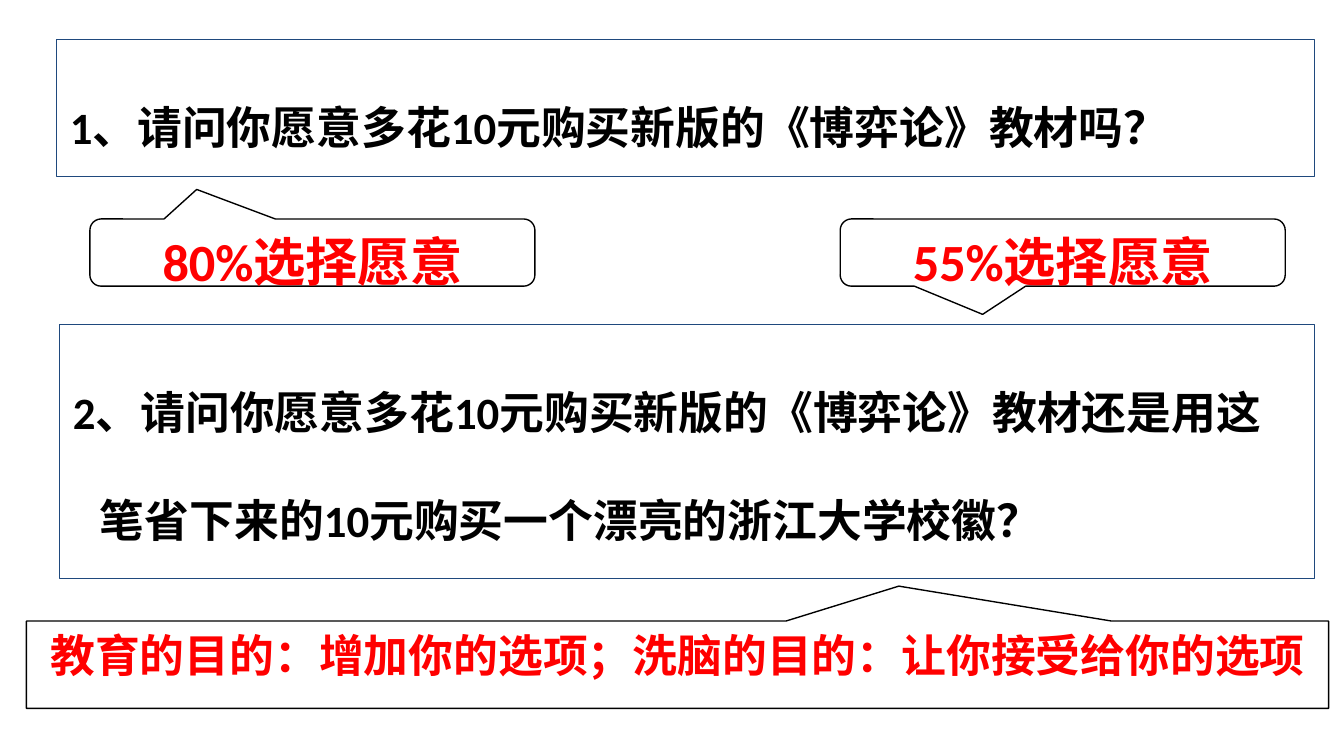
from pptx import Presentation
from pptx.dml.color import RGBColor
from pptx.enum.shapes import MSO_SHAPE
from pptx.enum.text import MSO_ANCHOR, PP_ALIGN
from pptx.util import Cm, Pt

BLACK = RGBColor(0x00, 0x00, 0x00)
WHITE = RGBColor(0xFF, 0xFF, 0xFF)
NAVY = RGBColor(0x1F, 0x49, 0x7D)
RED = RGBColor(0xFF, 0x00, 0x00)
FONT = "Calibri"


def add_panel(slide, kind, box, edge, fill=None):
    panel = slide.shapes.add_shape(kind, *(Cm(n) for n in box))
    panel.shadow.inherit = False
    if fill is None:
        panel.fill.background()
    else:
        panel.fill.solid()
        panel.fill.fore_color.rgb = fill
    panel.line.color.rgb = edge
    panel.line.width = Pt(0.75)
    return panel


def write(panel, text, size, color, align):
    """Fill the panel from the top with one bold run and return its paragraph."""
    frame = panel.text_frame
    frame.word_wrap = True
    frame.vertical_anchor = MSO_ANCHOR.TOP
    para = frame.paragraphs[0]
    para.alignment = align
    run = para.add_run()
    run.text = text
    run.font.name = FONT
    run.font.size = Pt(size)
    run.font.bold = True
    run.font.color.rgb = color
    return para


def add_question(slide, box, text):
    panel = add_panel(slide, MSO_SHAPE.RECTANGLE, box, NAVY)
    para = write(panel, text, 24, BLACK, PP_ALIGN.LEFT)
    para.line_spacing = 2.0
    props = para._p.get_or_add_pPr()
    props.set("marL", str(Cm(0.51)))
    props.set("indent", str(-Cm(0.51)))


def add_callout(slide, kind, box, tip, text, size, fill=None):
    """Tip is the pointer's offset from the centre, as shares of the box."""
    panel = add_panel(slide, kind, box, BLACK, fill)
    for i, share in enumerate(tip):
        panel.adjustments[i] = share
    write(panel, text, size, RED, PP_ALIGN.CENTER)


def main():
    deck = Presentation()
    deck.slide_width, deck.slide_height = Cm(25.4), Cm(14.29)
    slide = deck.slides.add_slide(deck.slide_layouts[6])

    add_question(slide, (1.07, 0.75, 23.77, 2.59),
                 "1、请问你愿意多花10元购买新版的《博弈论》教材吗？")
    add_question(slide, (1.13, 6.14, 23.71, 4.8),
                 "2、请问你愿意多花10元购买新版的《博弈论》教材还是用这"
                 "笔省下来的10元购买一个漂亮的浙江大学校徽？")

    answers = [(1.7, (-0.26, -0.94), "80%选择愿意"),
               (15.88, (-0.18, 0.92), "55%选择愿意")]
    for left, tip, text in answers:
        add_callout(slide, MSO_SHAPE.ROUNDED_RECTANGULAR_CALLOUT,
                    (left, 4.14, 8.41, 1.27), tip, text, 28, WHITE)

    add_callout(slide, MSO_SHAPE.RECTANGULAR_CALLOUT,
                (0.5, 11.74, 24.61, 1.65), (0.17, -0.9),
                "教育的目的：增加你的选项；洗脑的目的：让你接受给你的选项", 24)
    deck.save("out.pptx")


if __name__ == "__main__":
    main()
